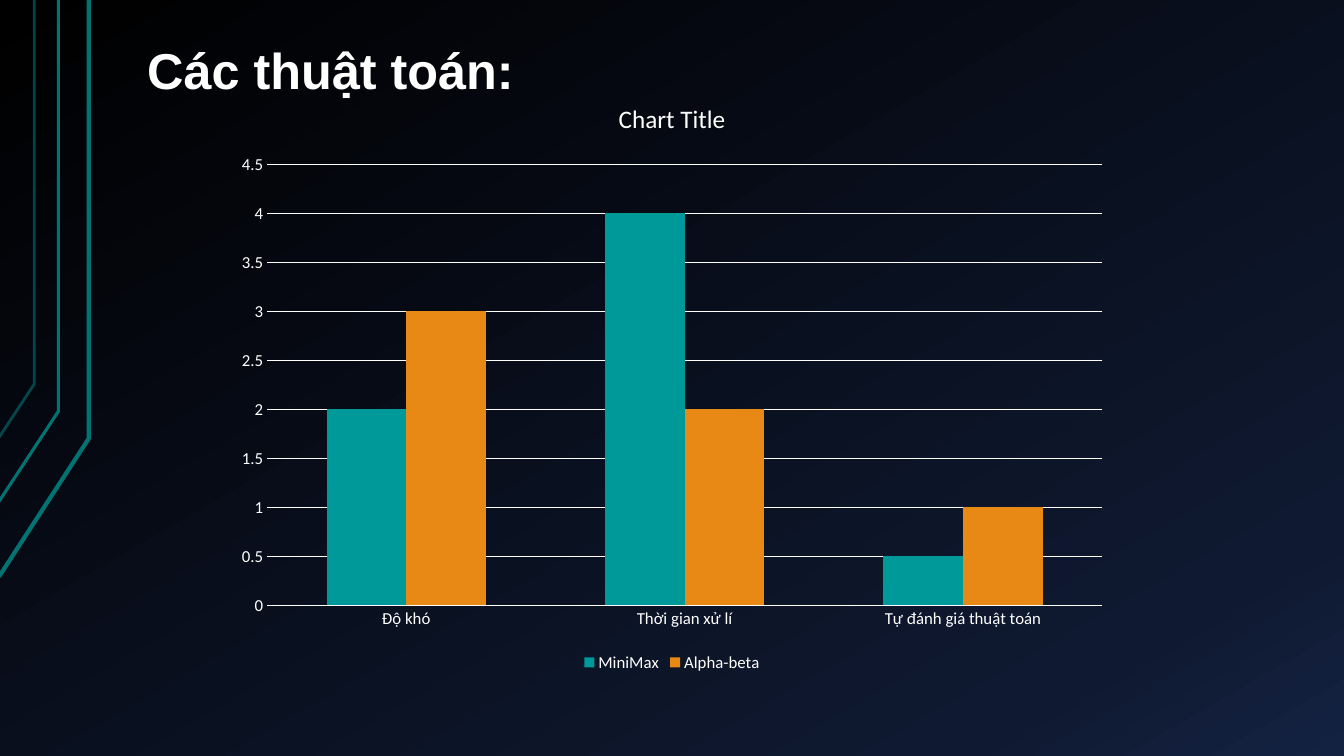
from copy import deepcopy

from lxml.etree import SubElement
from pptx import Presentation
from pptx.chart.data import CategoryChartData
from pptx.dml.color import RGBColor
from pptx.enum.chart import XL_CHART_TYPE, XL_LEGEND_POSITION, XL_TICK_MARK
from pptx.enum.text import MSO_ANCHOR
from pptx.oxml.ns import qn
from pptx.util import Inches, Pt

TITLE = "Các thuật toán:"
CHART_TITLE = "Chart Title"
CATEGORIES = ["Độ khó", "Thời gian xử lí", "Tự đánh giá thuật toán"]
SERIES = [
    ("MiniMax", [2, 4, 0.5], "009999"),
    ("Alpha-beta", [3, 2, 1], "E98915"),
]
# points of each bent line, width in points, opacity in percent
BENT_LINES = [
    ([(-0.01, 5.72), (0.88, 4.35), (0.88, 0)], 3, 100),
    ([(-0.02, 4.99), (0.58, 4.08), (0.58, 0)], 2.25, 100),
    ([(-0.01, 4.34), (0.34, 3.81), (0.34, 0)], 2, 60),
]
THEME = {
    "text": "FFFFFF",
    "line": "007373",
    "background": [(0, "000000"), (0.85, "0F1931"), (1, "142242")],
    "title_font": "Arial",
    "chart_font": "Calibri",
    "title_size": 36,
    "chart_title_size": 18,
    "label_size": 12,
    "chart_size": 10,
}


def color(name):
    return RGBColor.from_string(name)


def format_font(font, size, name=THEME["chart_font"], bold=False):
    font.size = Pt(size)
    font.name = name
    font.bold = bold
    font.color.rgb = color(THEME["text"])


def write_text(text_frame, text, line_spacing=None, **font_format):
    paragraph = text_frame.paragraphs[0]
    paragraph.line_spacing = line_spacing
    run = paragraph.add_run()
    run.text = text
    format_font(run.font, **font_format)


def paint_background(slide):
    fill = slide.background.fill
    fill.gradient()
    fill.gradient_angle = 300  # counter-clockwise: runs down to the right
    first_stop = slide.background._cSld.find(".//" + qn("a:gs"))
    first_stop.addnext(deepcopy(first_stop))
    for stop, (position, name) in zip(fill.gradient_stops, THEME["background"]):
        stop.position = position
        stop.color.rgb = color(name)


def add_bent_line(slide, points, width, opacity):
    start, *rest = [(Inches(x), Inches(y)) for x, y in points]
    builder = slide.shapes.build_freeform(*start)
    builder.add_line_segments(rest, close=False)
    shape = builder.convert_to_shape()
    shape.shadow.inherit = False
    shape.fill.background()
    shape.line.width = Pt(width)
    shape.line.color.rgb = color(THEME["line"])
    if opacity < 100:
        line_color = shape.line._ln.find(".//" + qn("a:srgbClr"))
        SubElement(line_color, qn("a:alpha"), val=str(opacity * 1000))


def add_title(slide):
    box = slide.shapes.add_textbox(Inches(1.33), Inches(0.3), Inches(11.33), Inches(0.77))
    frame = box.text_frame
    frame.word_wrap = True
    frame.vertical_anchor = MSO_ANCHOR.BOTTOM
    frame.margin_left = frame.margin_right = Inches(0.13)
    frame.margin_top = frame.margin_bottom = Inches(0.07)
    write_text(frame, TITLE, line_spacing=0.9, size=THEME["title_size"],
               name=THEME["title_font"], bold=True)


def add_column_chart(slide):
    data = CategoryChartData()
    data.categories = CATEGORIES
    for name, values, _ in SERIES:
        data.add_series(name, values)
    chart = slide.shapes.add_chart(
        XL_CHART_TYPE.COLUMN_CLUSTERED,
        Inches(2.22), Inches(0.79), Inches(8.89), Inches(5.92), data).chart
    format_font(chart.font, THEME["chart_size"])

    chart.has_title = True
    write_text(chart.chart_title.text_frame, CHART_TITLE, size=THEME["chart_title_size"])
    chart.chart_title.include_in_layout = False

    chart.has_legend = True
    chart.legend.position = XL_LEGEND_POSITION.BOTTOM
    chart.legend.include_in_layout = False
    format_font(chart.legend.font, THEME["label_size"])

    for axis in (chart.category_axis, chart.value_axis):
        axis.major_tick_mark = axis.minor_tick_mark = XL_TICK_MARK.NONE
        axis.format.line.fill.background()
        format_font(axis.tick_labels.font, THEME["label_size"])
    value_axis = chart.value_axis
    value_axis.minimum_scale = 0
    value_axis.maximum_scale = 4.5
    value_axis.major_unit = 0.5
    grid_line = value_axis.major_gridlines.format.line
    grid_line.width = Pt(0.75)
    grid_line.color.rgb = color(THEME["text"])

    plot = chart.plots[0]
    plot.vary_by_categories = False
    plot.gap_width = 150
    plot.overlap = 0
    for series, (_, _, name) in zip(plot.series, SERIES):
        series.format.fill.solid()
        series.format.fill.fore_color.rgb = color(name)


def main():
    presentation = Presentation()
    presentation.slide_width = Inches(13.33)
    presentation.slide_height = Inches(7.5)
    slide = presentation.slides.add_slide(presentation.slide_layouts[6])
    paint_background(slide)
    for points, width, opacity in BENT_LINES:
        add_bent_line(slide, points, width, opacity)
    add_title(slide)
    add_column_chart(slide)
    presentation.save("out.pptx")


if __name__ == "__main__":
    main()
